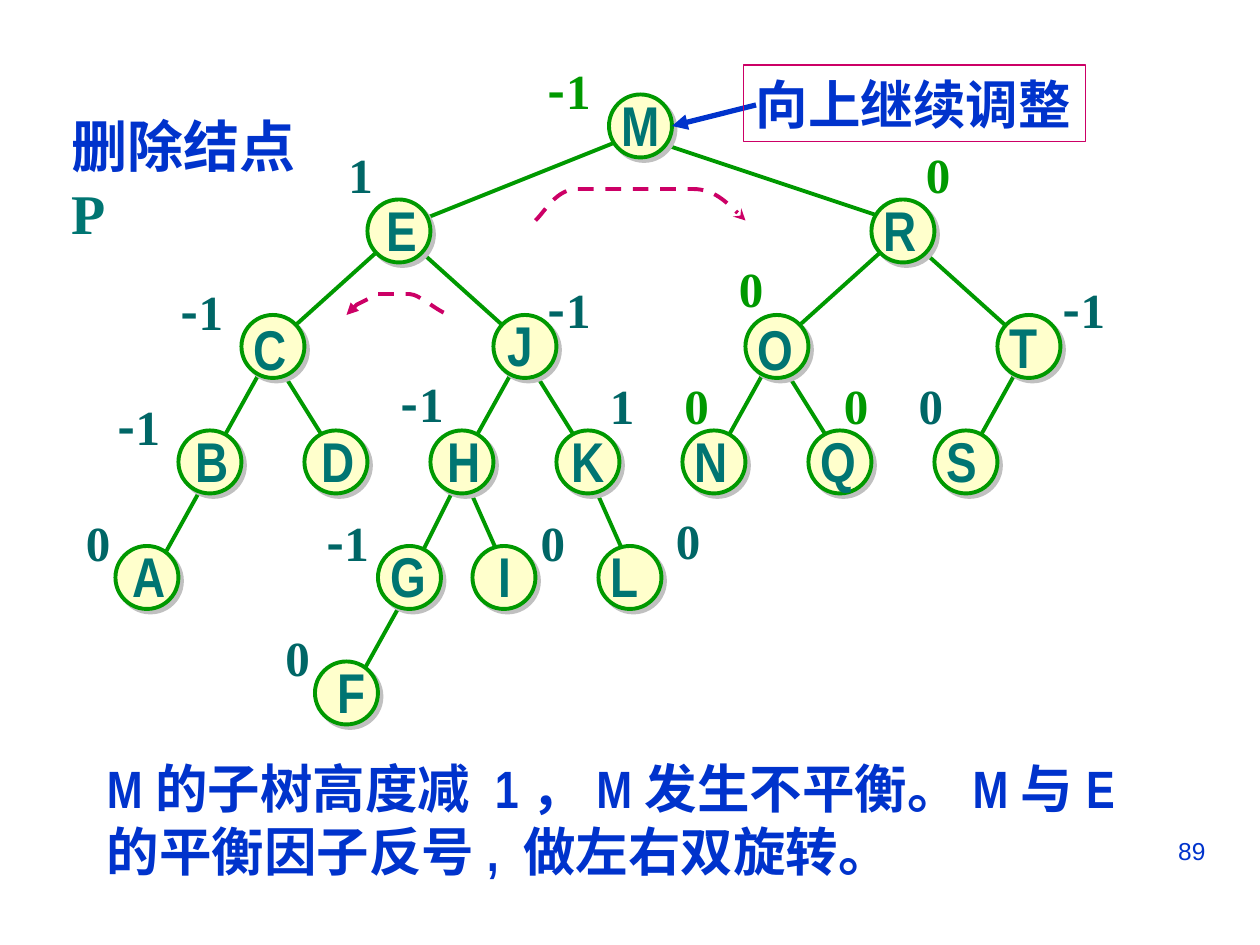
from lxml import etree
from pptx import Presentation
from pptx.dml.color import RGBColor
from pptx.enum.dml import MSO_LINE
from pptx.enum.shapes import MSO_CONNECTOR, MSO_SHAPE
from pptx.enum.text import PP_ALIGN
from pptx.oxml.ns import qn
from pptx.util import Inches, Pt

STRAIGHT = MSO_CONNECTOR.STRAIGHT
OVAL, RECTANGLE = MSO_SHAPE.OVAL, MSO_SHAPE.RECTANGLE
DASH = MSO_LINE.DASH
LEFT, RIGHT = PP_ALIGN.LEFT, PP_ALIGN.RIGHT

BLUE = RGBColor(0x00, 0x33, 0xCC)
GREEN = RGBColor(0x00, 0x99, 0x00)
TEAL = RGBColor(0x00, 0x75, 0x72)
DARK_TEAL = RGBColor(0x00, 0x66, 0x66)
CREAM = RGBColor(0xFF, 0xFF, 0xCC)
MAGENTA = RGBColor(0xCC, 0x00, 0x66)
SHADOW_GREY = "C0C0C0"

SERIF, NARROW, SANS = "Times New Roman", "Arial Narrow", "Arial"
CJK = "Noto Sans CJK SC"

COLUMNS, ROWS = 120, 90  # square cells, twelve to the inch
CELL = Inches(10) / COLUMNS
NODE_SIZE = 6

# letter: node column, node row, letter shift right, letter shift down, letter width
NODES = {
    "A": (11, 52, 0.4, 0, 5.6), "B": (17, 41, 0.4, 0, 5.6),
    "C": (23, 30, 0, 0.4, 5.6), "D": (29, 41, 0.4, 0, 5.6),
    "E": (35, 19, 0.6, 0, 5.3), "F": (30, 63, 1, 0, 5),
    "G": (36, 52, 0, 0, 5.8), "H": (41, 41, 0.4, 0, 5.6),
    "I": (45, 52, 1.3, 0, 3.6), "J": (47, 30, 0.2, 0, 4.8),
    "K": (53, 41, 0.2, 0, 5.6), "L": (57, 52, 0, 0, 5),
    "M": (58, 9, 0, 0, 6.1), "N": (65, 41, 0, 0, 5.6),
    "O": (71, 30, 0, 0.4, 5.8), "Q": (77, 41, 0, 0, 5.8),
    "R": (83, 19, 0, 0, 5.6), "S": (89, 41, 0, 0, 5.3),
    "T": (95, 30, 0, 0.2, 5),
}

# start inside the parent, end inside the child, parent-child pairs
EDGES = [
    ((2, 4), (5, 2), "ME"), ((3, 4), (2, 2), "MR"),
    ((2, 4), (4, 2), "EC RO"), ((4, 4), (2, 2), "EJ"), ((5, 5), (3, 3), "RT"),
    ((2, 5), (3, 3), "CB JH ON TS"), ((3, 4), (2, 1), "CD JK OQ"),
    ((3, 4), (4, 2), "BA GF"), ((3, 4), (3, 3), "HG"), ((3, 4), (3, 2), "HI KL"),
]

# colour: balance factor, column, row
BALANCES = {
    GREEN: [("-1", 51, 5.2), ("0", 87, 13.2), ("0", 69.2, 24),
            ("0", 64, 35.2), ("0", 79.2, 35.2)],
    DARK_TEAL: [("1", 32, 13.2), ("-1", 16, 26.2), ("-1", 51, 26), ("-1", 100, 26),
                ("-1", 10, 37.2), ("-1", 37, 35), ("1", 56.9, 35.2),
                ("0", 86.3, 35.2), ("0", 7, 48.2), ("-1", 29.9, 48.2),
                ("0", 50.3, 48.2), ("0", 63.2, 48), ("0", 26, 59.2)],
}

# each path: start, then three points for every curve
RIGHT_TURN = [(51, 20.9), (51.8, 19.7), (52.6, 18.5), (55, 18), (57.4, 17.6),
              (62.9, 17.6), (65.5, 18), (68.2, 18.5), (69.8, 20.4), (70.7, 20.9)]
LEFT_TURN = [(32.6, 30.4), (32.9, 30), (33.2, 29.5), (33.8, 29.2), (34.4, 28.7),
             (35.5, 28.1), (36.4, 27.8), (37.2, 27.7), (37.8, 27.5), (38.8, 27.8),
             (39.8, 28.3), (41.9, 30), (42.6, 30.4)]


def cells(*counts):
    return [round(count * CELL) for count in counts]


def add_text(para, text, size, color, font=SERIF, bold=True):
    span = para.add_run()
    span.text = text
    span.font.size, span.font.bold, span.font.name = Pt(size), bold, font
    span.font.color.rgb = color
    latin = span.font._element.find(qn("a:latin"))
    latin.addnext(latin.makeelement(qn("a:ea"), {"typeface": CJK}))


class TreePage:
    """Draws on one page, with every length counted in grid cells."""

    def __init__(self, page):
        self.shapes = page.shapes

    def stroke(self, line, color, width, **ends):
        """Style a line; ends maps headEnd or tailEnd to an arrow type."""
        line.color.rgb, line.width = color, Pt(width)
        for end, kind in ends.items():
            etree.SubElement(line._ln, qn(f"a:{end}"), type=kind)

    def text(self, text, left, top, width, height, wrap=False, align=LEFT, **style):
        box = self.shapes.add_textbox(*cells(left, top, width, height))
        box.text_frame.word_wrap = wrap
        para = box.text_frame.paragraphs[0]
        para.alignment = align
        add_text(para, text, **style)

    def balance(self, factor, left, top, color):
        box = self.shapes.add_textbox(*cells(left, top, 7.1 if len(factor) > 1 else 4.8, 6.8))
        box.text_frame.word_wrap = False
        para = box.text_frame.paragraphs[0]
        for sign in factor:
            add_text(para, sign, 28, color, CJK if sign == "-" else SERIF)

    def line(self, start, end, color, width, **ends):
        link = self.shapes.add_connector(STRAIGHT, *cells(*start, *end))
        self.stroke(link.line, color, width, **ends)
        etree.SubElement(link._element.spPr, qn("a:effectLst"))

    def node(self, left, top):
        circle = self.shapes.add_shape(OVAL, *cells(left, top, NODE_SIZE, NODE_SIZE))
        circle.fill.solid()
        circle.fill.fore_color.rgb = CREAM
        self.stroke(circle.line, GREEN, 2.25)
        circle.shadow.inherit = False
        effects = circle._element.spPr.find(qn("a:effectLst"))
        shadow = etree.SubElement(effects, qn("a:outerShdw"), dist=str(Pt(2.8)),
                                  dir="2700000", algn="ctr", rotWithShape="0")
        etree.SubElement(shadow, qn("a:srgbClr"), val=SHADOW_GREY)

    def callout(self, text, left, top, width, height):
        box = self.shapes.add_shape(RECTANGLE, *cells(left, top, width, height))
        box.fill.background()
        box.shadow.inherit = False
        self.stroke(box.line, MAGENTA, 0.75)
        box.text_frame.word_wrap = False
        para = box.text_frame.paragraphs[0]
        para.alignment = LEFT
        add_text(para, text, 30, BLUE)

    def curve(self, points, **ends):
        """Draw a dashed arrow, turning each three straight steps into one Bézier."""
        builder = self.shapes.build_freeform(*points[0], scale=CELL)
        builder.add_line_segments(points[1:], close=False)
        arrow = builder.convert_to_shape()
        steps = list(arrow._element.iter(qn("a:lnTo")))
        outline = steps[0].getparent()
        for first in range(0, len(steps), 3):
            bezier = etree.SubElement(outline, qn("a:cubicBezTo"))
            for step in steps[first:first + 3]:
                bezier.append(step[0])
                outline.remove(step)
        arrow.fill.background()
        arrow.shadow.inherit = False
        arrow.line.dash_style = DASH
        self.stroke(arrow.line, MAGENTA, 2.25, **ends)


def main():
    deck = Presentation()
    deck.slide_width, deck.slide_height = cells(COLUMNS, ROWS)
    page = TreePage(deck.slides.add_slide(deck.slide_layouts[6]))

    page.text("89", 86, 79, 30, 6.2, wrap=True, align=RIGHT,
              size=14, color=BLUE, font=SANS, bold=False)
    title = page.shapes.add_textbox(*cells(5.6, 10, 26, 7.5)).text_frame
    title.word_wrap = True
    add_text(title.paragraphs[0], "删除结点", 32, BLUE)
    add_text(title.paragraphs[0], "P", 32, TEAL)
    page.text("M的子树高度减 1，M发生不平衡。M与E的平衡因子反号, 做左右双旋转。",
              9, 71.4, 104.2, 13.2, wrap=True, size=30, color=BLUE, font=NARROW)

    for (start_x, start_y), (end_x, end_y), pairs in EDGES:
        for parent, child in pairs.split():
            parent_x, parent_y = NODES[parent][:2]
            child_x, child_y = NODES[child][:2]
            page.line((parent_x + start_x, parent_y + start_y),
                      (child_x + end_x, child_y + end_y), GREEN, 2.25)
    for left, top, *_ in NODES.values():
        page.node(left, top)
    for letter, (left, top, right_shift, down_shift, width) in NODES.items():
        page.text(letter, left + right_shift, top - 1 + down_shift, width, 7.6,
                  size=32, color=TEAL, font=NARROW)
    for color, factors in BALANCES.items():
        for factor, left, top in factors:
            page.balance(factor, left, top, color)

    page.line((72, 10), (64, 12), BLUE, 3, tailEnd="triangle")
    page.callout("向上继续调整", 70.8, 6.2, 32.6, 7.3)
    page.curve(RIGHT_TURN, tailEnd="stealth")
    page.curve(LEFT_TURN, headEnd="triangle")
    deck.save("out.pptx")


if __name__ == "__main__":
    main()
